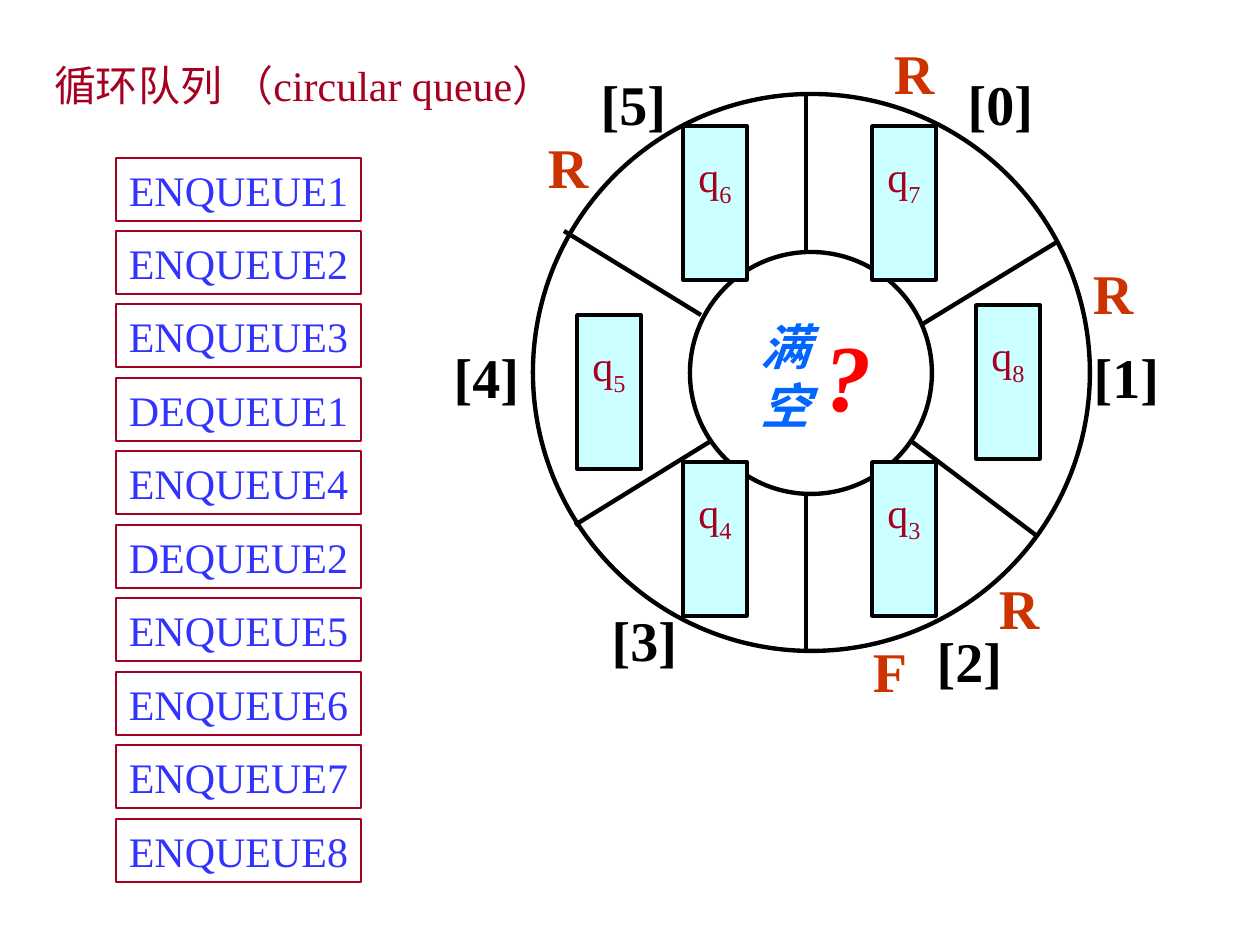
from lxml import etree
from pptx import Presentation
from pptx import util as u
from pptx.dml.color import RGBColor
from pptx.enum import shapes, text
from pptx.oxml import ns

PX = u.Inches(1) // 126
FONT = "Times New Roman"
BLACK = RGBColor(0x00, 0x00, 0x00)
WHITE = RGBColor(0xFF, 0xFF, 0xFF)
CRIMSON = RGBColor(0xA5, 0x00, 0x21)
BLUE = RGBColor(0x33, 0x33, 0xFF)
CYAN = RGBColor(0xCC, 0xFF, 0xFF)
ORANGE = RGBColor(0xCC, 0x33, 0x00)
SKY = RGBColor(0x00, 0x66, 0xFF)
RED = RGBColor(0xFF, 0x00, 0x00)

TITLE = "循环队列 （circular queue）"
OPERATIONS = ["ENQUEUE1", "ENQUEUE2", "ENQUEUE3", "DEQUEUE1", "ENQUEUE4",
              "DEQUEUE2", "ENQUEUE5", "ENQUEUE6", "ENQUEUE7", "ENQUEUE8"]
SPOKES = [(273, 400, 273, 557), (273, 0, 273, 158), (378, 347, 504, 442),
          (31, 137, 168, 221), (178, 347, 42, 431), (524, 148, 388, 231)]
INDEXES = [("[0]", 422, -31), ("[1]", 548, 242), ("[2]", 391, 526),
           ("[3]", 66, 505), ("[4]", -92, 242), ("[5]", 55, -31)]
ITEMS = [("3", 339, 368), ("4", 150, 368), ("5", 44, 221),
         ("6", 150, 32), ("7", 339, 32), ("8", 443, 211)]
POINTERS = [("R", 349, -62), ("R", 548, 158), ("F", 328, 536),
            ("R", 3, 32), ("R", 454, 473)]


def emu(*lengths):
    return [n * PX for n in lengths]


def add_outline(s, kind, box, fill=None, color=None, width=1):
    sp = s.shapes.add_shape(kind, *emu(*box))
    sp.shadow.inherit = False
    if fill is None:
        sp.fill.background()
    else:
        sp.fill.solid()
        sp.fill.fore_color.rgb = fill
    if color is None:
        sp.line.fill.background()
    else:
        sp.line.color.rgb = color
        sp.line.width = u.Pt(width)
    return sp


def write(sp, words, size, color, bold=False, italic=False, wrap=False,
          align=text.PP_ALIGN.CENTER, anchor=text.MSO_ANCHOR.MIDDLE, top=6):
    tf = sp.text_frame
    tf.word_wrap = wrap
    tf.vertical_anchor = anchor
    tf.margin_left, tf.margin_right = emu(12, 12)
    tf.margin_top, tf.margin_bottom = emu(top, 6)
    p = tf.paragraphs[0]
    p.alignment = align
    p.font.name = FONT
    p.font.size = u.Pt(size)
    p.font.color.rgb = color
    p.font.bold = bold
    p.font.italic = italic
    p.add_run().text = words
    return p


def add_label(s, box, words, color, align):
    sp = s.shapes.add_textbox(*emu(*box))
    write(sp, words, 32, color, bold=True, align=align)


def add_title(s, box):
    sp = s.shapes.title
    sp.left, sp.top, sp.width, sp.height = emu(*box)
    write(sp, TITLE, 24, CRIMSON, wrap=True, align=text.PP_ALIGN.LEFT)


def add_operations(s, box):
    x, y, w, h = box
    row = 63
    for i, name in enumerate(OPERATIONS):
        top = y + (h - row) * i // (len(OPERATIONS) - 1)
        sp = add_outline(s, shapes.MSO_SHAPE.RECTANGLE, (x, top, w, row), None, CRIMSON, 0.75)
        write(sp, name, 24, BLUE)


def add_spoke(s, ends):
    line = s.shapes.add_connector(shapes.MSO_CONNECTOR.STRAIGHT, *emu(*ends))
    line.line.color.rgb = BLACK
    line.line.width = u.Pt(2.5)
    etree.SubElement(line._element.spPr, ns.qn("a:effectLst"))


def add_item(s, box, number):
    sp = add_outline(s, shapes.MSO_SHAPE.RECTANGLE, box, CYAN, BLACK, 2)
    p = write(sp, "q", 24, CRIMSON, wrap=True, anchor=text.MSO_ANCHOR.TOP, top=25)
    r = p.add_run()
    r.text = number
    r.font._element.set("baseline", "-25000")


def add_hub_text(s, box, words, size, color):
    sp = add_outline(s, shapes.MSO_SHAPE.FLOWCHART_ALTERNATE_PROCESS, box)
    write(sp, words, size, color, bold=True, italic=True, wrap=True,
          anchor=text.MSO_ANCHOR.TOP)


def add_wheel(s, box):
    x, y, w, h = box
    for ring in (box, (x + 157, y + 158, 242, 242)):
        add_outline(s, shapes.MSO_SHAPE.OVAL, ring, WHITE, BLACK, 2.5)
    for x1, y1, x2, y2 in SPOKES:
        add_spoke(s, (x + x1, y + y1, x + x2, y + y2))
    for words, dx, dy in INDEXES:
        add_label(s, (x + dx, y + dy, 91, 81), words, BLACK, text.PP_ALIGN.CENTER)
    for number, dx, dy in ITEMS:
        add_item(s, (x + dx, y + dy, 64, 154), number)
    add_hub_text(s, (x + 191, y + 211, 122, 142), "满空", 28, SKY)
    add_hub_text(s, (x + 255, y + 211, 120, 137), "?", 54, RED)
    for words, dx, dy in POINTERS:
        add_label(s, (x + dx, y + dy, 66, 81), words, ORANGE, text.PP_ALIGN.LEFT)


def main():
    prs = Presentation()
    prs.slide_width, prs.slide_height = emu(1260, 945)
    s = prs.slides.add_slide(prs.slide_layouts[5])
    add_title(s, (42, 53, 560, 63))
    add_wheel(s, (533, 94, 557, 557))
    add_operations(s, (116, 158, 245, 724))
    prs.save("out.pptx")


if __name__ == "__main__":
    main()
